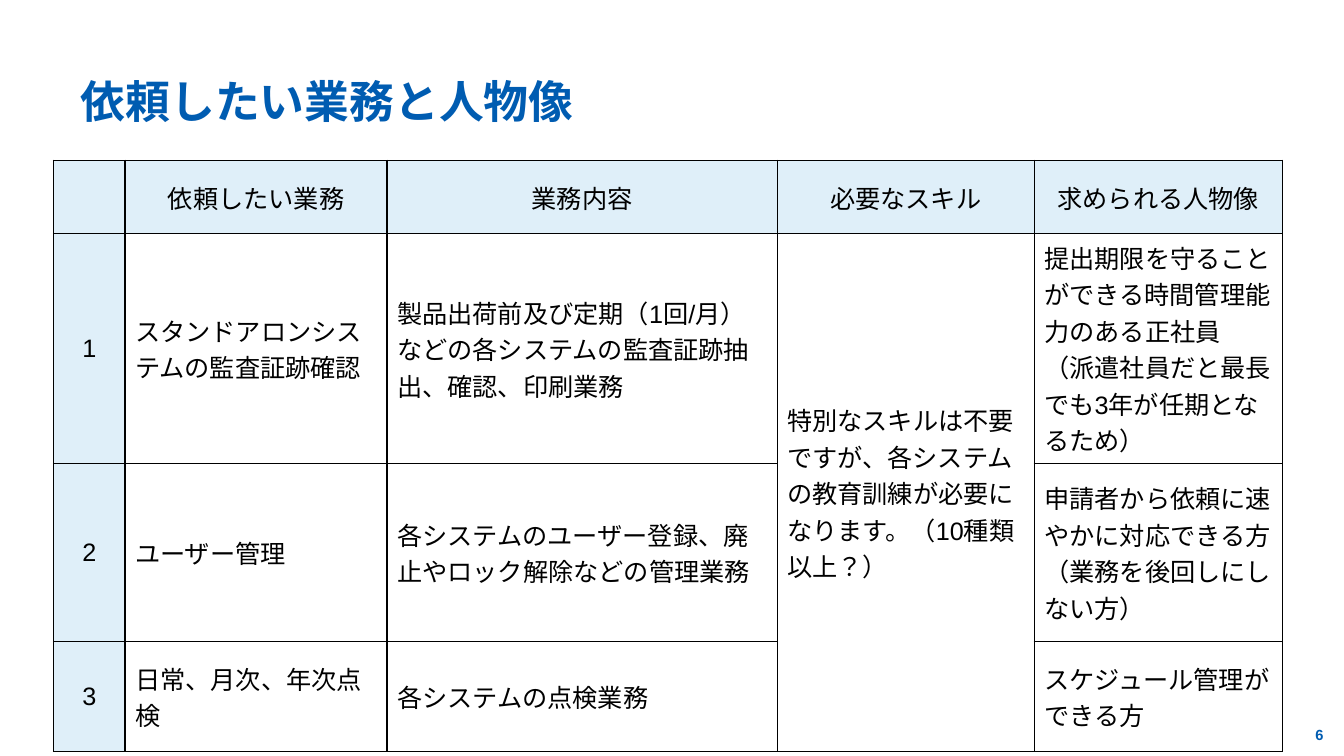
"""Build the slide listing the requested tasks and the people suited to them."""
from lxml.etree import SubElement
from pptx import Presentation
from pptx.dml.color import RGBColor
from pptx.enum.lang import MSO_LANGUAGE_ID
from pptx.enum.text import MSO_ANCHOR, MSO_AUTO_SIZE, PP_ALIGN
from pptx.oxml.ns import qn
from pptx.util import Pt

THEME = {
    "header_fill": RGBColor.from_string("DFEFF9"),
    "border": "000000",
    "title": {"size": Pt(32), "bold": True, "color": "005CB1"},
    "number": {"size": Pt(10.5), "bold": True, "color": "005CB1"},
    "cell": {"size": Pt(18), "bold": False, "color": "000000"},
}


def write_paragraph(paragraph, text, style, alignment):
    paragraph.alignment = alignment
    run = paragraph.add_run()
    run.text = text
    values = {"name": "Arial", "language_id": MSO_LANGUAGE_ID.JAPANESE,
              "size": THEME[style]["size"], "bold": THEME[style]["bold"]}
    for name, value in values.items():
        setattr(run.font, name, value)
    run.font.color.rgb = RGBColor.from_string(THEME[style]["color"])


def add_text(slide, bounds, text, style, alignment, frame_format):
    frame = slide.shapes.add_textbox(*map(Pt, bounds)).text_frame
    for name, value in frame_format.items():
        setattr(frame, name, value)
    write_paragraph(frame.paragraphs[0], text, style, alignment)
    return frame


presentation = Presentation()
presentation.slide_width = Pt(960)
presentation.slide_height = Pt(540)
slide = presentation.slides.add_slide(presentation.slide_layouts[6])

title_frame = add_text(
    slide, (57.6, 41.8, 711.4, 64.8), "依頼したい業務と人物像", "title", PP_ALIGN.LEFT,
    {"word_wrap": True, "vertical_anchor": MSO_ANCHOR.MIDDLE, "margin_left": 0,
     "margin_right": 0, "margin_top": 0, "margin_bottom": 0})
title_frame.paragraphs[0].line_spacing = 0.9

add_text(
    slide, (916.6, 514.8, 28.8, 20.2), "6", "number", PP_ALIGN.RIGHT,
    {"word_wrap": True, "auto_size": MSO_AUTO_SIZE.SHAPE_TO_FIT_TEXT,
     "margin_left": 0, "margin_right": 0})

column_widths = [51.1, 187.2, 278.6, 183.6, 177.3]
row_heights = [52.6, 163.8, 127.4, 78.5]
rows = [
    ["", "依頼したい業務", "業務内容", "必要なスキル", "求められる人物像"],
    ["1", "スタンドアロンシステムの監査証跡確認",
     "製品出荷前及び定期（1回/月）などの各システムの監査証跡抽出、確認、印刷業務",
     "特別なスキルは不要ですが、各システムの教育訓練が必要になります。（10種類以上？）",
     "提出期限を守ることができる時間管理能力のある正社員\n（派遣社員だと最長でも3年が任期となるため）"],
    ["2", "ユーザー管理", "各システムのユーザー登録、廃止やロック解除などの管理業務", "",
     "申請者から依頼に速やかに対応できる方（業務を後回しにしない方）"],
    ["3", "日常、月次、年次点検", "各システムの点検業務", "", "スケジュール管理ができる方"],
]

table = slide.shapes.add_table(
    len(rows), len(column_widths), Pt(38.2), Pt(114.5),
    Pt(sum(column_widths)), Pt(sum(row_heights))).table
table.first_row = False
table.horz_banding = False
for column, width in zip(table.columns, column_widths):
    column.width = Pt(width)
for row, height in zip(table.rows, row_heights):
    row.height = Pt(height)
table.cell(1, 3).merge(table.cell(3, 3))

for row_index, row_texts in enumerate(rows):
    for column_index, text in enumerate(row_texts):
        cell = table.cell(row_index, column_index)
        is_header = row_index == 0 or column_index == 0
        cell.vertical_anchor = MSO_ANCHOR.MIDDLE
        properties = cell._tc.get_or_add_tcPr()
        for side in ("a:lnL", "a:lnR", "a:lnT", "a:lnB"):
            border = SubElement(properties, qn(side), w=str(Pt(1)))
            border_fill = SubElement(border, qn("a:solidFill"))
            SubElement(border_fill, qn("a:srgbClr"), val=THEME["border"])
        if is_header:
            cell.fill.solid()
            cell.fill.fore_color.rgb = THEME["header_fill"]
        else:
            cell.fill.background()
        alignment = PP_ALIGN.CENTER if is_header else PP_ALIGN.LEFT
        for line_index, line in enumerate(text.splitlines()):
            frame = cell.text_frame
            paragraph = frame.add_paragraph() if line_index else frame.paragraphs[0]
            write_paragraph(paragraph, line, "cell", alignment)

presentation.save("out.pptx")
